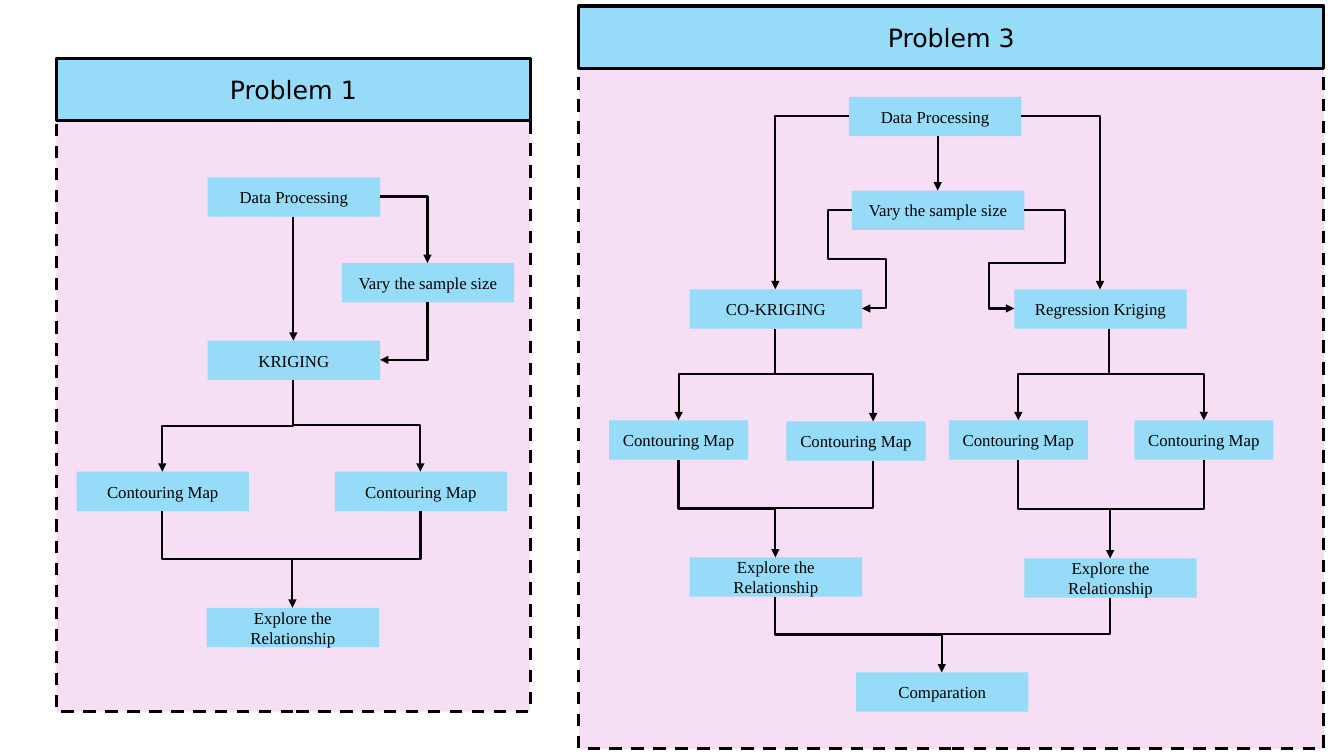
"""Build the slide with the Problem 1 and Problem 3 flow charts."""
from dataclasses import dataclass
from typing import NamedTuple

from lxml import etree
from pptx import Presentation
from pptx import util as u
from pptx.dml import color
from pptx.enum import dml, shapes, text
from pptx.oxml import ns

EMU_PER_PX = 9144
NODE_HEIGHT = 39
HEADER_HEIGHT = 62
BLANK_LAYOUT = 6


@dataclass(frozen=True)
class Theme:
    """Colours, fonts, type sizes and line widths of the slide."""

    panel: str = "F6DEF4"
    node: str = "96DCF8"
    ink: str = "000000"
    header_font: str = "DejaVu Sans"
    header_size: int = 18
    node_font: str = "Times New Roman"
    node_size: int = 12
    frame_width: float = 2.25
    route_width: float = 1.5


THEME = Theme()


class Node(NamedTuple):
    """Place of a flow-chart box in px."""

    left: int
    top: int
    width: int

    @property
    def right(self):
        """Return the right edge."""
        return self.left + self.width

    @property
    def base(self):
        """Return the bottom edge."""
        return self.top + NODE_HEIGHT

    @property
    def mid_x(self):
        """Return the horizontal centre."""
        return self.left + self.width // 2

    @property
    def mid_y(self):
        """Return the vertical centre."""
        return self.top + NODE_HEIGHT // 2


def px(length):
    """Turn px into EMU."""
    return u.Emu(length * EMU_PER_PX)


def rgb(value):
    """Return a colour object."""
    return color.RGBColor.from_string(value)


def assign(target, values):
    """Set each named format value on the target."""
    for name, value in values.items():
        setattr(target, name, value)


def add_rectangle(page, left, top, width, height, fill, framed=False):
    """Draw a filled rectangle, with a frame if asked."""
    box = page.shapes.add_shape(
        shapes.MSO_SHAPE.RECTANGLE, px(left), px(top), px(width), px(height))
    box.shadow.inherit = False
    box.fill.solid()
    box.fill.fore_color.rgb = rgb(fill)
    if framed:
        box.line.color.rgb = rgb(THEME.ink)
        box.line.width = u.Pt(THEME.frame_width)
    else:
        box.line.fill.background()
    return box


def write_label(box, label, font, size):
    """Write centred text in a box."""
    assign(box.text_frame, {"word_wrap": True,
                            "vertical_anchor": text.MSO_ANCHOR.MIDDLE})
    para = box.text_frame.paragraphs[0]
    para.alignment = text.PP_ALIGN.CENTER
    span = para.add_run()
    span.text = label
    assign(span.font, {"name": font, "size": u.Pt(size)})
    span.font.color.rgb = rgb(THEME.ink)


def add_panel(page, label, left, top, width, height):
    """Draw a dashed panel with its header bar."""
    panel = add_rectangle(page, left, top, width, height, THEME.panel, True)
    panel.line.dash_style = dml.MSO_LINE.DASH
    header = add_rectangle(page, left, top, width, HEADER_HEIGHT, THEME.node, True)
    write_label(header, label, THEME.header_font, THEME.header_size)


def add_node(page, label, left, top, width=171):
    """Draw a flow-chart box and return its place."""
    box = add_rectangle(page, left, top, width, NODE_HEIGHT, THEME.node)
    write_label(box, label, THEME.node_font, THEME.node_size)
    return Node(left, top, width)


def add_line(page, start, end, kind=shapes.MSO_CONNECTOR.STRAIGHT, arrow=True):
    """Draw a connector, with an arrowhead at its end if asked."""
    line = page.shapes.add_connector(kind, *map(px, (*start, *end)))
    line.line.color.rgb = rgb(THEME.ink)
    line.line.width = u.Pt(THEME.route_width)
    properties = line._element.spPr
    etree.SubElement(properties, ns.qn("a:effectLst"))
    if arrow:
        outline = properties.find(ns.qn("a:ln"))
        etree.SubElement(outline, ns.qn("a:tailEnd"), type="triangle")
    return line


def add_elbow(page, start, end, parts=2, down=False, arrow=True, bends=()):
    """Draw a bent connector that leaves sideways, or downwards if asked."""
    line = add_line(page, start, end, shapes.MSO_CONNECTOR.ELBOW, arrow)
    properties = line._element.spPr
    geometry = properties.find(ns.qn("a:prstGeom"))
    geometry.set("prst", f"bentConnector{parts}")
    guides = geometry.find(ns.qn("a:avLst"))
    for number, bend in enumerate(bends, 1):
        etree.SubElement(guides, ns.qn("a:gd"), name=f"adj{number}",
                         fmla=f"val {round(bend * 100000)}")
    if down:
        frame = properties.find(ns.qn("a:xfrm"))
        frame.attrib.pop("flipH", None)
        rightward = end[0] > start[0]
        frame.set("rot", "16200000" if rightward else "5400000")
        if rightward:
            frame.set("flipH", "1")
        shift = (line.width - line.height) // 2
        assign(line, {"left": line.left + shift, "top": line.top - shift,
                      "width": line.height, "height": line.width})


def add_merge(page, left, right, goal, right_x=None):
    """Join two boxes downwards into the goal."""
    level = (left.base + goal.top) // 2
    add_elbow(page, (left.mid_x, left.base), (goal.mid_x, goal.top), 3, down=True)
    add_elbow(page, (right_x or right.mid_x, right.base), (goal.mid_x, level),
              down=True, arrow=False)


def add_fan(page, stem, left, right, goal, stem_x=None, right_x=None):
    """Split the stem into two maps and merge them into the goal."""
    stem_x = stem_x or stem.mid_x
    level = (stem.base + left.top) // 2
    add_elbow(page, (stem_x, stem.base), (left.mid_x, left.top), 3, down=True)
    add_elbow(page, (stem_x, level), (right_x or right.mid_x, right.top))
    add_merge(page, left, right, goal, right_x)


def draw_problem_1(page):
    """Draw the kriging flow."""
    add_panel(page, "Problem 1", 56, 58, 470, 648)
    data = add_node(page, "Data Processing", 206, 176)
    vary = add_node(page, "Vary the sample size", 339, 261)
    kriging = add_node(page, "KRIGING", 206, 338)
    maps = [add_node(page, "Contouring Map", left, 468) for left in (76, 332)]
    explore = add_node(page, "Explore the Relationship", 205, 603)
    add_line(page, (data.mid_x, data.base), (kriging.mid_x, kriging.top))
    add_elbow(page, (data.right, data.mid_y), (vary.mid_x, vary.top))
    add_elbow(page, (vary.mid_x, vary.base), (kriging.right, kriging.mid_y), down=True)
    add_fan(page, kriging, *maps, explore)


def draw_problem_3(page):
    """Draw the co-kriging and regression kriging flows."""
    add_panel(page, "Problem 3", 574, 6, 739, 737)
    data = add_node(page, "Data Processing", 842, 96)
    vary = add_node(page, "Vary the sample size", 845, 189)
    co_kriging = add_node(page, "CO-KRIGING", 684, 287)
    regression = add_node(page, "Regression Kriging", 1006, 287)
    maps = [add_node(page, "Contouring Map", left, top, 138)
            for left, top in ((604, 417), (780, 418), (941, 417), (1125, 417))]
    explores = [add_node(page, "Explore the Relationship", left, top)
                for left, top in ((684, 553), (1016, 554))]
    comparation = add_node(page, "Comparation", 849, 667)

    add_line(page, (930, data.base), (930, vary.top))
    add_elbow(page, (data.left, data.mid_y), (co_kriging.mid_x, co_kriging.top))
    add_elbow(page, (data.right, data.mid_y), (regression.mid_x, regression.top))
    add_elbow(page, (vary.left, vary.mid_y), (co_kriging.right, co_kriging.mid_y),
              5, bends=(-2.39, 0.5, 3.39))
    corner, turn = (1056, vary.mid_y), (1056, 234)
    add_line(page, (vary.right, vary.mid_y), corner, arrow=False)
    add_line(page, corner, turn, arrow=False)
    add_elbow(page, turn, (regression.left, regression.mid_y), 4, down=True,
              bends=(0.37, 1.5))
    add_fan(page, co_kriging, *maps[:2], explores[0], right_x=866)
    add_fan(page, regression, *maps[2:], explores[1], stem_x=1100)
    add_merge(page, *explores, comparation)


def main():
    """Build and save the deck."""
    deck = Presentation()
    assign(deck, {"slide_width": px(1333), "slide_height": px(750)})
    page = deck.slides.add_slide(deck.slide_layouts[BLANK_LAYOUT])
    draw_problem_1(page)
    draw_problem_3(page)
    deck.save("out.pptx")


if __name__ == "__main__":
    main()
